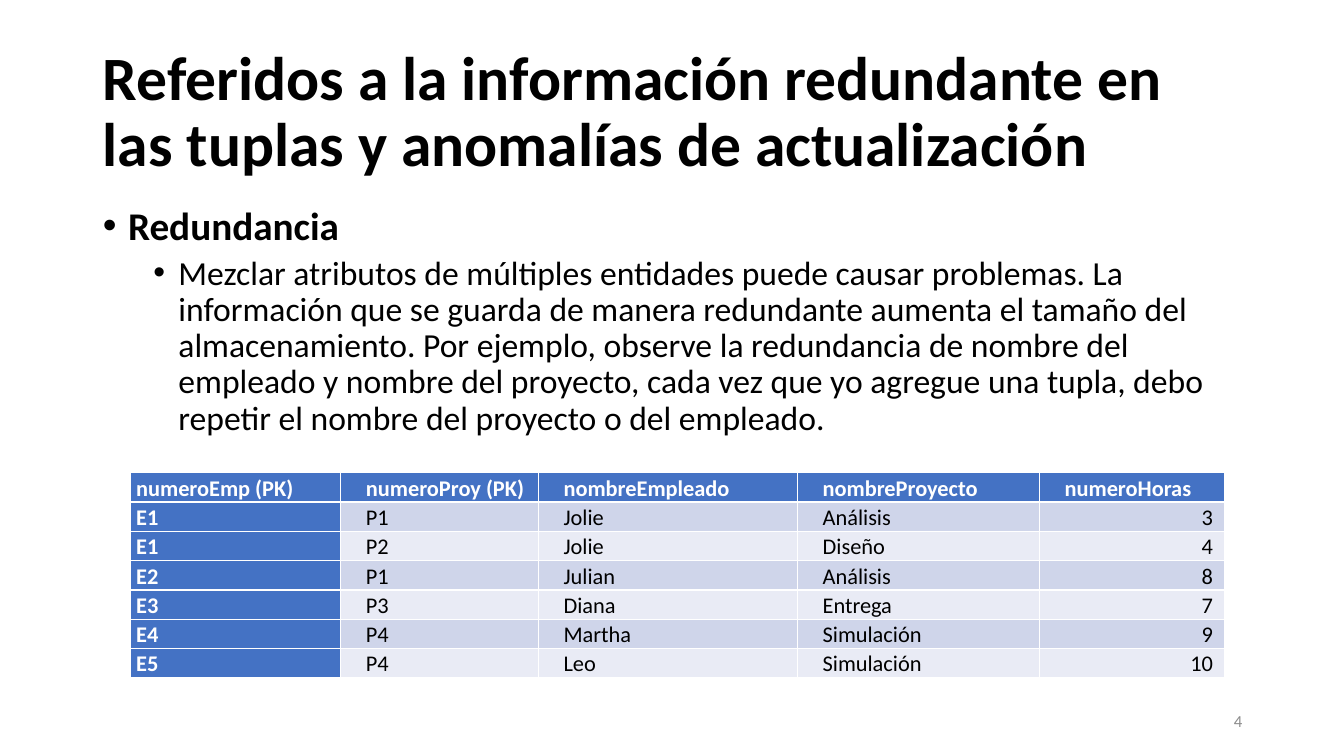
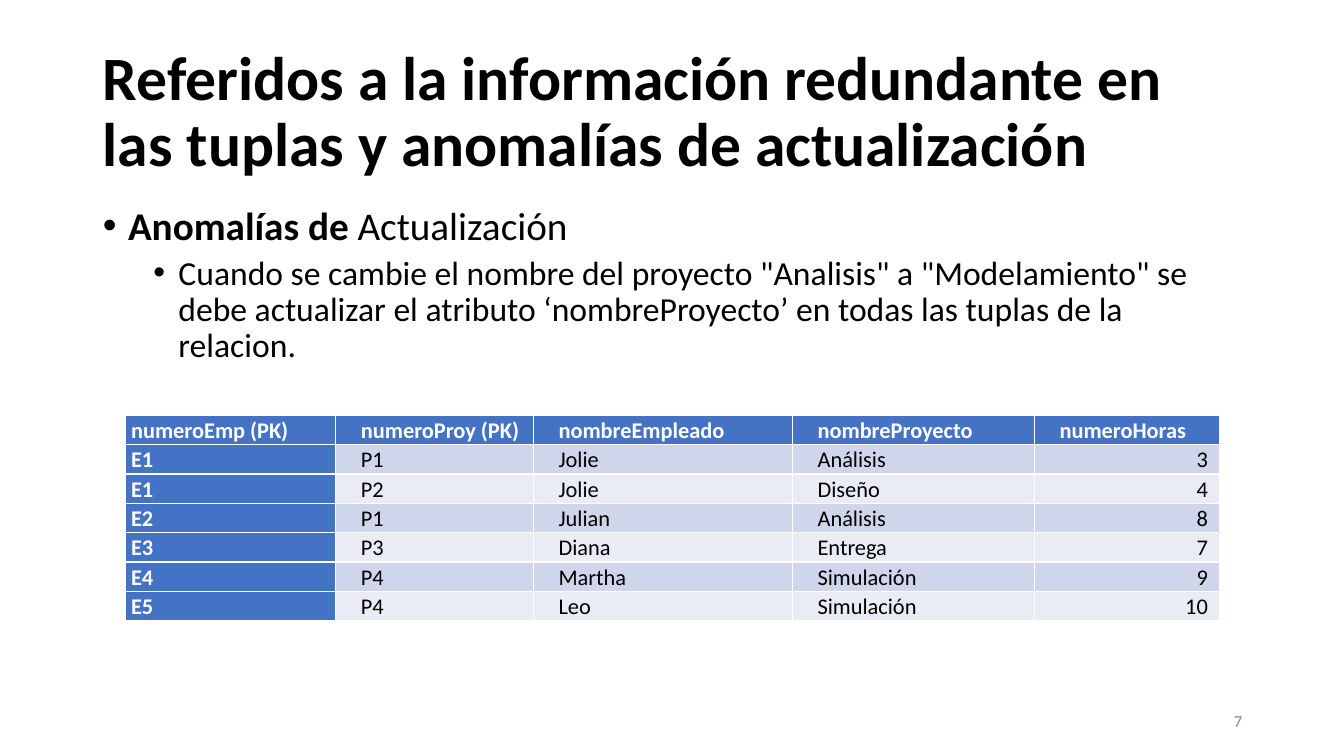
from pptx import Presentation, util as u
from pptx.dml.color import RGBColor
from pptx.enum import text
from pptx.oxml.ns import qn
from lxml import etree

HEADING = "Referidos a la información redundante en las tuplas y anomalías de actualización"
TOPICS = [
    {
        "page": 4,
        "topic": [("Redundancia", True)],
        "detail": "Mezclar atributos de múltiples entidades puede causar problemas. La información "
                  "que se guarda de manera redundante aumenta el tamaño del almacenamiento. Por "
                  "ejemplo, observe la redundancia de nombre del empleado y nombre del proyecto, "
                  "cada vez que yo agregue una tupla, debo repetir el nombre del proyecto o del "
                  "empleado.",
        "table_at": (1.29, 4.69),
    },
    {
        "page": 7,
        "topic": [("Anomalías de ", True), ("Actualización", False)],
        "detail": "Cuando se cambie el nombre del proyecto \"Analisis\" a \"Modelamiento\" se debe "
                  "actualizar el atributo ‘nombreProyecto’ en todas las tuplas de la relacion.",
        "table_at": (1.24, 4.12),
    },
]
ASSIGNMENTS = [
    ("numeroEmp (PK)", "numeroProy (PK)", "nombreEmpleado", "nombreProyecto", "numeroHoras"),
    ("E1", "P1", "Jolie", "Análisis", "3"),
    ("E1", "P2", "Jolie", "Diseño", "4"),
    ("E2", "P1", "Julian", "Análisis", "8"),
    ("E3", "P3", "Diana", "Entrega", "7"),
    ("E4", "P4", "Martha", "Simulación", "9"),
    ("E5", "P4", "Leo", "Simulación", "10"),
]
COLUMN_WIDTHS = (2.09, 1.96, 2.57, 2.4, 1.84)
ROW_HEIGHT = 0.29

COLORS = {"ink": "000000", "paper": "FFFFFF", "key": "4472C4",
          "odd": "CFD5EA", "even": "E9EBF5", "page": "8C8C8C"}
FONT = "Calibri"
WIDTH, HEIGHT, MARGIN = 13.33, 7.5, 0.92
CONTENT_WIDTH = WIDTH - 2 * MARGIN + 0.01
PAGE_WIDTH = 3
HEADING_BOX = (MARGIN, 0.4, CONTENT_WIDTH, 1.45)
BODY_BOX = (MARGIN, 2, CONTENT_WIDTH, 4.76)
PAGE_BOX = (MARGIN + CONTENT_WIDTH - PAGE_WIDTH, 6.95, PAGE_WIDTH, 0.4)

LEFT, RIGHT = text.PP_ALIGN.LEFT, text.PP_ALIGN.RIGHT
MIDDLE, TOP = text.MSO_ANCHOR.MIDDLE, text.MSO_ANCHOR.TOP
FRAME = {"word_wrap": True, "auto_size": text.MSO_AUTO_SIZE.NONE}


def apply(target, values):
    for name, value in values.items():
        setattr(target, name, value)


def place(shape, box):
    apply(shape, dict(zip(("left", "top", "width", "height"), map(u.Inches, box))))


def indent(paragraph, left, first):
    properties = paragraph._p.get_or_add_pPr()
    properties.set("marL", str(u.Inches(left)))
    properties.set("indent", str(u.Inches(first)))
    return properties


def bullet(paragraph, left):
    properties = indent(paragraph, left, -0.25)
    etree.SubElement(properties, qn("a:buFont")).set("typeface", "Arial")
    etree.SubElement(properties, qn("a:buChar")).set("char", "•")


def write(paragraph, runs, size, color="ink", **layout):
    apply(paragraph, layout)
    for words, bold in runs:
        run = paragraph.add_run()
        run.text = words
        apply(run.font, {"name": FONT, "size": u.Pt(size), "bold": bold})
        run.font.color.rgb = RGBColor.from_string(COLORS[color])


def add_heading(slide):
    heading = slide.shapes.title
    place(heading, HEADING_BOX)
    apply(heading.text_frame, {**FRAME, "vertical_anchor": MIDDLE})
    write(heading.text_frame.paragraphs[0], [(HEADING, True)], 44,
          alignment=LEFT, line_spacing=0.9)


def add_explanation(slide, topic, detail):
    explanation = slide.placeholders[1]
    place(explanation, BODY_BOX)
    frame = explanation.text_frame
    apply(frame, {**FRAME, "vertical_anchor": TOP})
    levels = [(topic, 28, 0.25, 0), ([(detail, False)], 24, 0.75, 5)]
    for level, (runs, size, left, before) in enumerate(levels):
        paragraph = frame.add_paragraph() if level else frame.paragraphs[0]
        bullet(paragraph, left)
        write(paragraph, runs, size, level=level, line_spacing=0.9, space_before=u.Pt(before))


def add_assignments(slide, corner):
    box = (*corner, sum(COLUMN_WIDTHS), ROW_HEIGHT * len(ASSIGNMENTS))
    table = slide.shapes.add_table(len(ASSIGNMENTS), len(COLUMN_WIDTHS),
                                   *map(u.Inches, box)).table
    table.first_col = True
    for column, width in zip(table.columns, COLUMN_WIDTHS):
        column.width = u.Inches(width)
    for r, record in enumerate(ASSIGNMENTS):
        table.rows[r].height = u.Inches(ROW_HEIGHT)
        for c, value in enumerate(record):
            cell = table.cell(r, c)
            is_key = r == 0 or c == 0
            is_hours = r > 0 and c == len(record) - 1
            apply(cell, {"margin_left": 0, "margin_top": 0, "margin_bottom": 0,
                         "margin_right": u.Inches(0.12 if is_hours else 0.03),
                         "vertical_anchor": TOP})
            cell.fill.solid()
            band = "key" if is_key else "odd" if r % 2 else "even"
            cell.fill.fore_color.rgb = RGBColor.from_string(COLORS[band])
            paragraph = cell.text_frame.paragraphs[0]
            indent(paragraph, 0.26 if c else 0.07, -0.01)
            write(paragraph, [(value, is_key)], 16, "paper" if is_key else "ink",
                  alignment=RIGHT if is_hours else LEFT, line_spacing=1.07)


def add_page(slide, page):
    frame = slide.shapes.add_textbox(*map(u.Inches, PAGE_BOX)).text_frame
    apply(frame, {**FRAME, "vertical_anchor": MIDDLE})
    write(frame.paragraphs[0], [(str(page), False)], 12, "page", alignment=RIGHT)


def main():
    deck = Presentation()
    apply(deck, {"slide_width": u.Inches(WIDTH), "slide_height": u.Inches(HEIGHT)})
    for topic in TOPICS:
        slide = deck.slides.add_slide(deck.slide_layouts[1])
        add_heading(slide)
        add_explanation(slide, topic["topic"], topic["detail"])
        add_assignments(slide, topic["table_at"])
        add_page(slide, topic["page"])
    deck.save("out.pptx")


if __name__ == "__main__":
    main()
